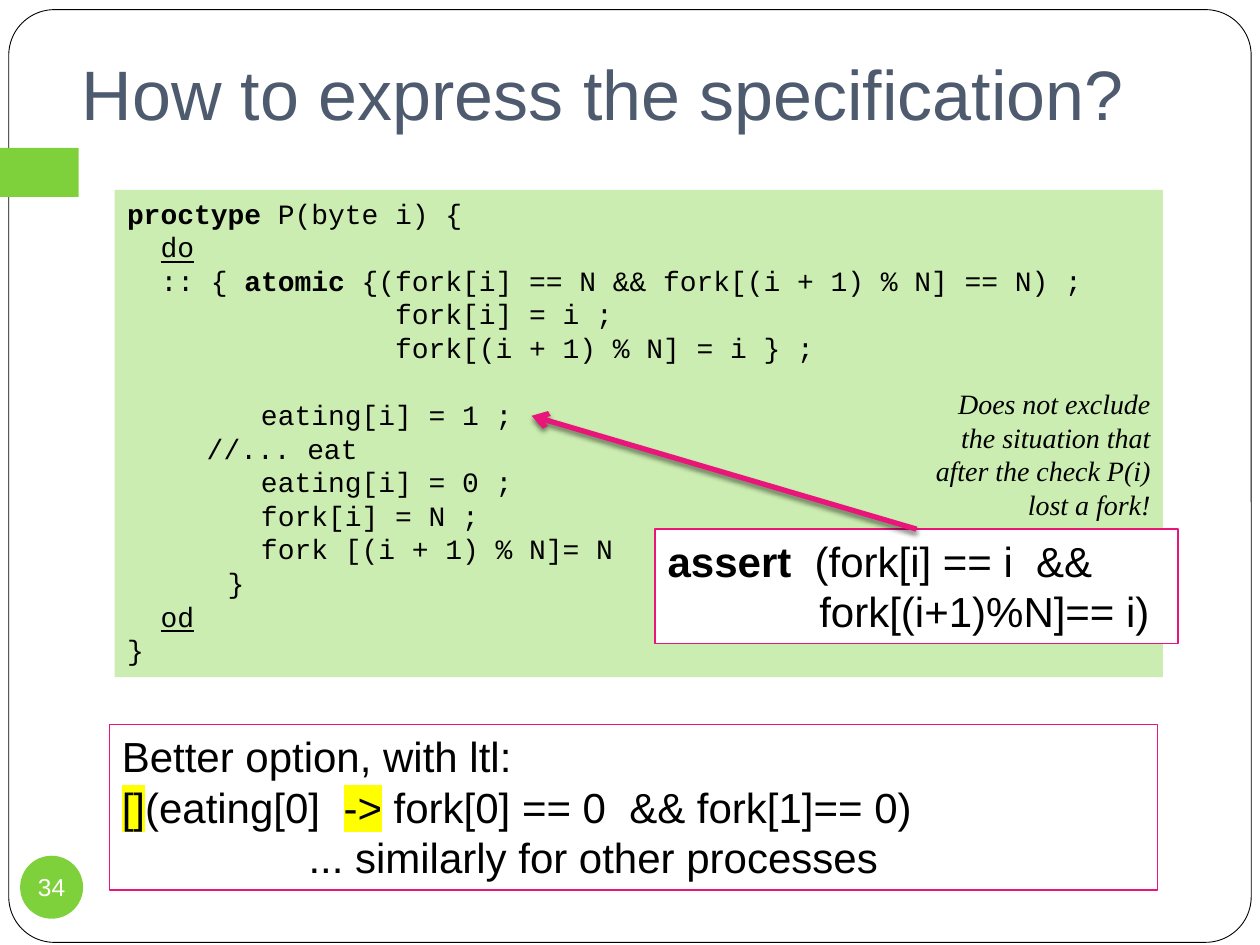
from lxml import etree
from pptx import Presentation
from pptx.dml.color import RGBColor
from pptx.enum.shapes import MSO_CONNECTOR, MSO_SHAPE
from pptx.enum.text import MSO_ANCHOR, PP_ALIGN
from pptx.oxml import parse_xml
from pptx.oxml.ns import qn
from pptx.util import Pt

RECT, ROUND, OVAL = MSO_SHAPE.RECTANGLE, MSO_SHAPE.ROUNDED_RECTANGLE, MSO_SHAPE.OVAL
TOP, MIDDLE, BOTTOM = MSO_ANCHOR.TOP, MSO_ANCHOR.MIDDLE, MSO_ANCHOR.BOTTOM
LEFT, CENTER, RIGHT = PP_ALIGN.LEFT, PP_ALIGN.CENTER, PP_ALIGN.RIGHT
NS = "http://schemas.openxmlformats.org/drawingml/2006/main"

GREEN, PALE, PINK, YELLOW = "7FD13B", "CCEDB1", "EA157A", "FFFF00"
WHITE, BLACK, SLATE = "FFFFFF", "000000", "4E5B6F"
BOLD, UNDER, MARK = {"bold": True}, {"underline": True}, {"highlight": YELLOW}
LINE_RATIO = 1.2

TITLE = ["How to express the specification?"]
NUMBER = ["34"]
CODE = [
    [("proctype", BOLD), " P(byte i) {"],
    ["  ", ("do", UNDER)],
    ["  :: { ", ("atomic", BOLD), " {(fork[i] == N && fork[(i + 1) % N] == N) ;"],
    "                fork[i] = i ;",
    "                fork[(i + 1) % N] = i } ;",
    {"text": "        eating[i] = 1 ;", "before": 19.2},
    "\t //... eat",
    "        eating[i] = 0 ;",
    "        fork[i] = N ;",
    "        fork [(i + 1) % N]= N",
    "      }",
    ["  ", ("od", UNDER)],
    "}",
]
LTL = [
    "Better option, with ltl:",
    [("[]", MARK), "(eating[0]  ", ("->", MARK), " fork[0] == 0  && fork[1]== 0)"],
    {"text": "... similarly for other processes", "indent": 106.7},
]
ASSERT = [
    [("assert", BOLD), "  (fork[i] == i  &&"],
    {"text": "fork[(i+1)%N]== i)", "indent": 86.7},
]
NOTE = ["Does not exclude the situation that after the check P(i) lost a fork!"]


def rgb(value):
    return RGBColor.from_string(value)


def add_box(box, kind=RECT, fill=None, line=None, width=1):
    left, top, w, h = map(Pt, box)
    if fill is None:
        return slide.shapes.add_textbox(left, top, w, h)
    sp = slide.shapes.add_shape(kind, left, top, w, h)
    sp.shadow.inherit = False
    sp.fill.solid()
    sp.fill.fore_color.rgb = rgb(fill)
    if line:
        sp.line.color.rgb = rgb(line)
        sp.line.width = Pt(width)
    else:
        sp.line.fill.background()
    return sp


def add_run(p, text, font, color, style):
    r = p.add_run()
    r.text = text
    r.font.color.rgb = rgb(color)
    for name, value in {**font, **style}.items():
        if name != "highlight":
            setattr(r.font, name, value)
    if "highlight" in style:
        mark = etree.Element(qn("a:highlight"))
        etree.SubElement(mark, qn("a:srgbClr")).set("val", style["highlight"])
        r.font.fill._xPr.find(qn("a:solidFill")).addnext(mark)


def write(sp, lines, face, size, color=BLACK, anchor=TOP, align=LEFT,
          insets=(7.2, 3.6, 7.2, 3.6), spaced=True, **style):
    tf = sp.text_frame
    frame = dict(zip(("margin_left", "margin_top", "margin_right", "margin_bottom"),
                     map(Pt, insets)))
    for name, value in {**frame, "word_wrap": True, "vertical_anchor": anchor}.items():
        setattr(tf, name, value)
    font = {"name": face, "size": Pt(size), **style}
    for i, line in enumerate(lines):
        p = tf.paragraphs[0] if i == 0 else tf.add_paragraph()
        options = line if isinstance(line, dict) else {"text": line}
        p.alignment = align
        if spaced:
            p.line_spacing = Pt(size * LINE_RATIO)
        if "before" in options:
            p.space_before = Pt(options["before"])
        if "indent" in options:
            p._p.get_or_add_pPr().set("marL", str(Pt(options["indent"])))
        parts = options["text"]
        for part in [parts] if isinstance(parts, str) else parts:
            text, extra = (part, {}) if isinstance(part, str) else part
            add_run(p, text, font, color, extra)


prs = Presentation()
prs.slide_width, prs.slide_height = Pt(720), Pt(540)
slide = prs.slides.add_slide(prs.slide_layouts[6])

frame = add_box((5, 5.5, 710, 533), ROUND, WHITE, BLACK, 0.5)
frame.adjustments[0] = 0.049
add_box((0, 84.5, 45, 28), fill=GREEN)

title = add_box((39.6, 21.6, 658, 62.6))
write(title, TITLE, "Arial", 40, SLATE, BOTTOM, insets=(7.2, 3.6, 7.2, 7.2), spaced=False)
number = add_box((11.5, 489, 36, 36), OVAL, GREEN)
write(number, NUMBER, "Arial", 14, WHITE, MIDDLE, CENTER, (0, 0, 0, 0), False)

code = add_box((65.5, 108.5, 599, 278.5), fill=PALE)
write(code, CODE, "Courier New", 16)
ltl = add_box((62.5, 414, 599, 94.5), fill=WHITE, line=PINK)
write(ltl, LTL, "Arial", 24)
check = add_box((374.4, 302.4, 298.8, 65.4), fill=WHITE, line=PINK)
write(check, ASSERT, "Arial", 24)
note = add_box((526.3, 217.4, 138.2, 85))
write(note, NOTE, "Times New Roman", 16, align=RIGHT, italic=True)

arrow = slide.shapes.add_connector(MSO_CONNECTOR.STRAIGHT, Pt(523.8), Pt(302.4), Pt(303.8), Pt(237.6))
arrow.begin_connect(check, 0)
arrow.line.color.rgb = rgb(PINK)
arrow.line.width = Pt(3)
etree.SubElement(arrow.line._get_or_add_ln(), qn("a:tailEnd")).set("type", "arrow")
arrow._element.spPr.append(parse_xml(
    f'<a:effectLst xmlns:a="{NS}"><a:outerShdw blurRad="{Pt(3)}" dist="{Pt(2)}" dir="5400000" rotWithShape="0">'
    f'<a:srgbClr val="{BLACK}"><a:alpha val="50000"/></a:srgbClr></a:outerShdw></a:effectLst>'))

prs.save("out.pptx")
